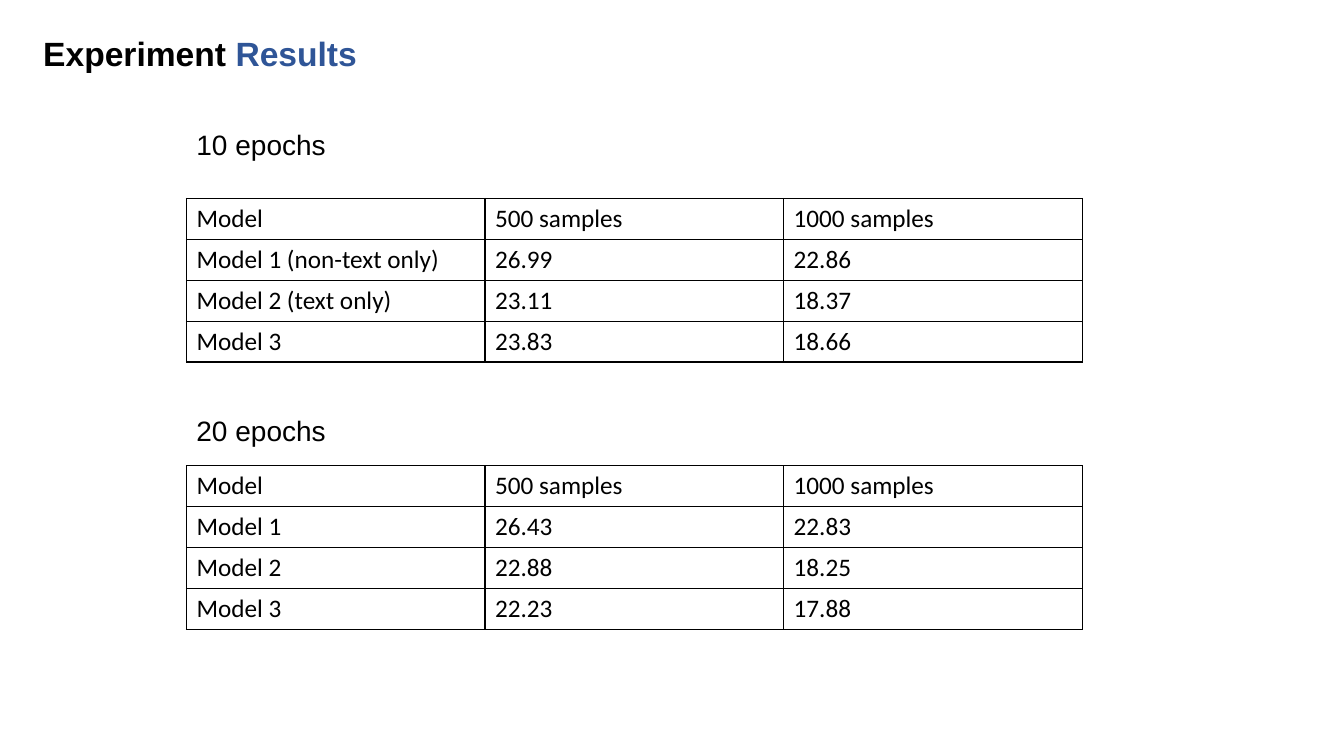
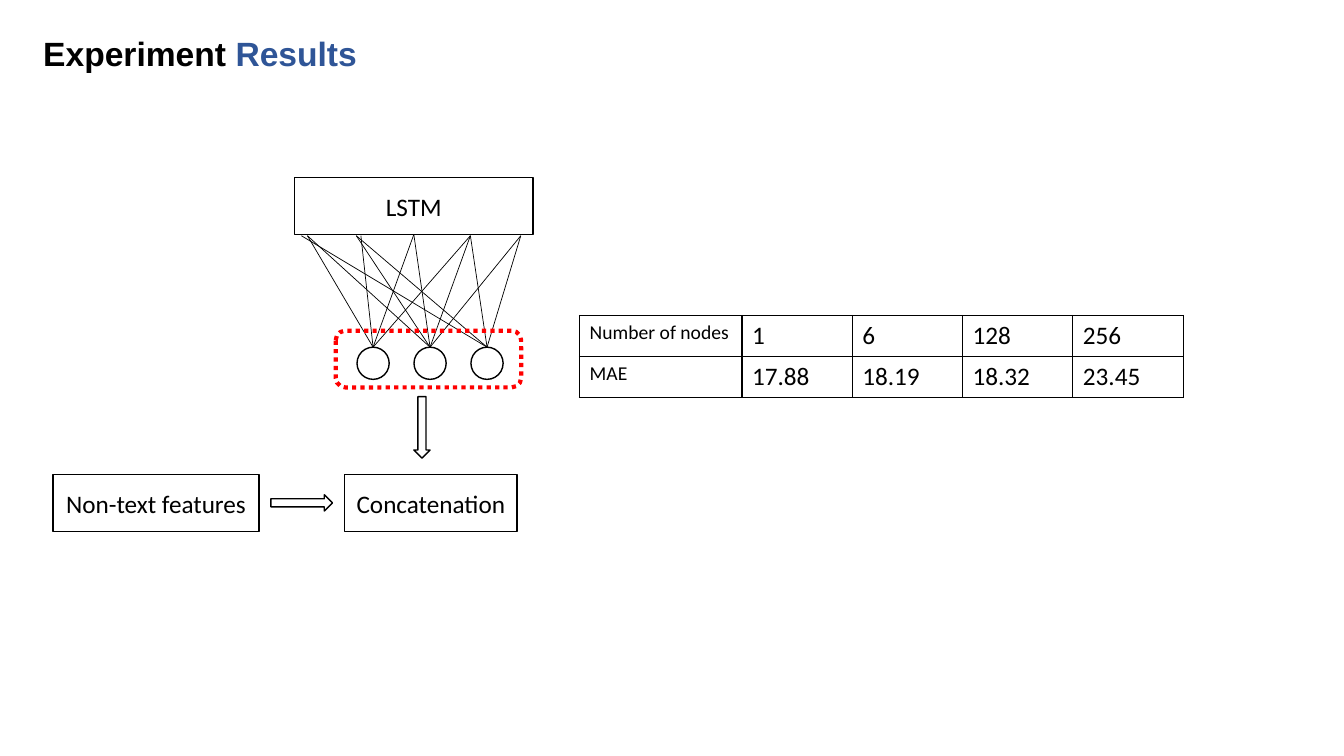
from lxml import etree
from pptx import Presentation
from pptx.dml.color import RGBColor
from pptx.enum.dml import MSO_LINE
from pptx.enum.shapes import MSO_CONNECTOR, MSO_SHAPE
from pptx.enum.text import MSO_ANCHOR, PP_ALIGN
from pptx.oxml import parse_xml
from pptx.oxml.ns import nsdecls, qn
from pptx.util import Pt

COLORS = {"ink": "000000", "paper": "FFFFFF", "accent": "2F5597", "highlight": "FF0000"}
HEADING_FONT = "Arial"
BODY_FONT = "Calibri"
BODY_SIZE = 18
ROW_HEIGHT = 29.2
TOP, BOTTOM = 0, 2


def color(name):
    return RGBColor.from_string(COLORS[name])


class Slides:
    """Holds the deck, its style and the slide being filled."""

    def __init__(self):
        self.deck = Presentation()
        self.deck.slide_width, self.deck.slide_height = Pt(960), Pt(540)
        self.page = None

    def add_page(self, *title_parts):
        """Start a slide; title_parts are (text, colour name) pairs."""
        self.page = self.deck.slides.add_slide(self.deck.slide_layouts[6])
        box = self.page.shapes.add_textbox(Pt(23.8), Pt(20.2), Pt(277), Pt(36))
        box.text_frame.word_wrap = True
        para = box.text_frame.paragraphs[0]
        self.style(para, 24, HEADING_FONT)
        para.font.bold = True
        for text, name in title_parts:
            span = para.add_run()
            span.text = text
            span.font.color.rgb = color(name)

    def style(self, para, size=BODY_SIZE, font=BODY_FONT):
        para.font.size = Pt(size)
        para.font.name = font
        para.font.color.rgb = color("ink")

    def label(self, text, left, top):
        box = self.page.shapes.add_textbox(Pt(left), Pt(top), Pt(738), Pt(52))
        frame = box.text_frame
        frame.word_wrap = True
        frame.vertical_anchor = MSO_ANCHOR.MIDDLE
        frame.text = text
        self.style(frame.paragraphs[0], 20, HEADING_FONT)

    def table(self, rows, left, top, widths, first_column_size=BODY_SIZE):
        frame = self.page.shapes.add_table(
            len(rows), len(widths), Pt(left), Pt(top), Pt(sum(widths)), Pt(ROW_HEIGHT * len(rows)))
        table = frame.table
        table.first_row = table.horz_banding = False
        for column, width in zip(table.columns, widths):
            column.width = Pt(width)
        for row, values in zip(table.rows, rows):
            row.height = Pt(ROW_HEIGHT)
            for index, (cell, value) in enumerate(zip(row.cells, values)):
                cell.text = value
                size = BODY_SIZE if index else first_column_size
                self.style(cell.text_frame.paragraphs[0], size)
                self.border(cell)
                cell.fill.background()

    def border(self, cell):
        properties = cell._tc.get_or_add_tcPr()
        for side in ("lnL", "lnR", "lnT", "lnB"):
            properties.append(parse_xml(
                f'<a:{side} {nsdecls("a")} w="{Pt(1)}"><a:solidFill>'
                f'<a:srgbClr val="{COLORS["ink"]}"/></a:solidFill></a:{side}>'))

    def shape(self, kind, left, top, width, height, text=""):
        shape = self.page.shapes.add_shape(kind, Pt(left), Pt(top), Pt(width), Pt(height))
        shape.shadow.inherit = False
        shape.fill.solid()
        shape.fill.fore_color.rgb = color("paper")
        shape.line.color.rgb = color("ink")
        shape.line.width = Pt(1)
        if text:
            frame = shape.text_frame
            frame.word_wrap = True
            frame.margin_left = frame.margin_right = 0
            frame.vertical_anchor = MSO_ANCHOR.MIDDLE
            frame.text = text
            frame.paragraphs[0].alignment = PP_ALIGN.CENTER
            self.style(frame.paragraphs[0])
        return shape

    def dotted_frame(self, left, top, width, height):
        frame = self.shape(MSO_SHAPE.ROUNDED_RECTANGLE, left, top, width, height)
        frame.fill.background()
        frame.line.color.rgb = color("highlight")
        frame.line.width = Pt(3)
        frame.line.dash_style = MSO_LINE.ROUND_DOT

    def link(self, x, y, node):
        """Draw a thin line from a point to the top of a node."""
        line = self.page.shapes.add_connector(
            MSO_CONNECTOR.STRAIGHT, Pt(x), Pt(y), node.left + node.width // 2, node.top)
        line.end_connect(node, TOP)
        line.line.color.rgb = color("ink")
        line.line.width = Pt(0.5)
        etree.SubElement(line._element.spPr, qn("a:effectLst"))
        return line


TITLE = (("Experiment ", "ink"), ("Results", "accent"))


def epochs_page(slides):
    slides.add_page(*TITLE)
    left = 133.2
    header = ("Model", "500 samples", "1000 samples")
    sections = (
        ("10 epochs", 77, 141.8, (
            ("Model 1 (non-text only)", "26.99", "22.86"),
            ("Model 2 (text only)", "23.11", "18.37"),
            ("Model 3", "23.83", "18.66"))),
        ("20 epochs", 281.5, 332.6, (
            ("Model 1", "26.43", "22.83"),
            ("Model 2", "22.88", "18.25"),
            ("Model 3", "22.23", "17.88"))),
    )
    for heading, heading_top, table_top, results in sections:
        slides.table((header, *results), left, table_top, [213.3] * 3)
        slides.label(heading, left, heading_top)


def network_page(slides):
    slides.add_page(*TITLE)
    lstm = slides.shape(MSO_SHAPE.RECTANGLE, 210.3, 127, 170.6, 40.5, "LSTM")
    nodes = [slides.shape(MSO_SHAPE.FLOWCHART_CONNECTOR, 255 + 40.7 * index, 248, 23, 23)
             for index in range(3)]

    # Start of each bundle of lines under the LSTM box, and the nodes it reaches
    bundles = ((215.3, (2,)), (219.6, (0, 1)), (254.5, (1, 2)), (257.8, (0,)),
               (336, (0, 1, 2)), (372, (1, 2)))
    for x, targets in bundles:
        for target in targets:
            slides.link(x, 168.4, nodes[target])
    for node in nodes[:2]:
        slides.link(295.6, 167.5, node).begin_connect(lstm, BOTTOM)

    slides.shape(MSO_SHAPE.DOWN_ARROW, 295.6, 283.3, 11.6, 44)
    slides.shape(MSO_SHAPE.RECTANGLE, 246.2, 339, 123.2, 40.5, "Concatenation")
    slides.shape(MSO_SHAPE.RIGHT_ARROW, 193.5, 353.4, 44, 11.6)
    slides.shape(MSO_SHAPE.RECTANGLE, 38, 339, 147, 40.5, "Non-text features")
    slides.dotted_frame(239.8, 236.2, 132.5, 40.5)
    slides.table((("Number of nodes", "1", "6", "128", "256"),
                  ("MAE", "17.88", "18.19", "18.32", "23.45")),
                 414, 225.4, [116] + [78.8] * 4, first_column_size=14)


def main():
    slides = Slides()
    epochs_page(slides)
    network_page(slides)
    slides.deck.save("out.pptx")


if __name__ == "__main__":
    main()
